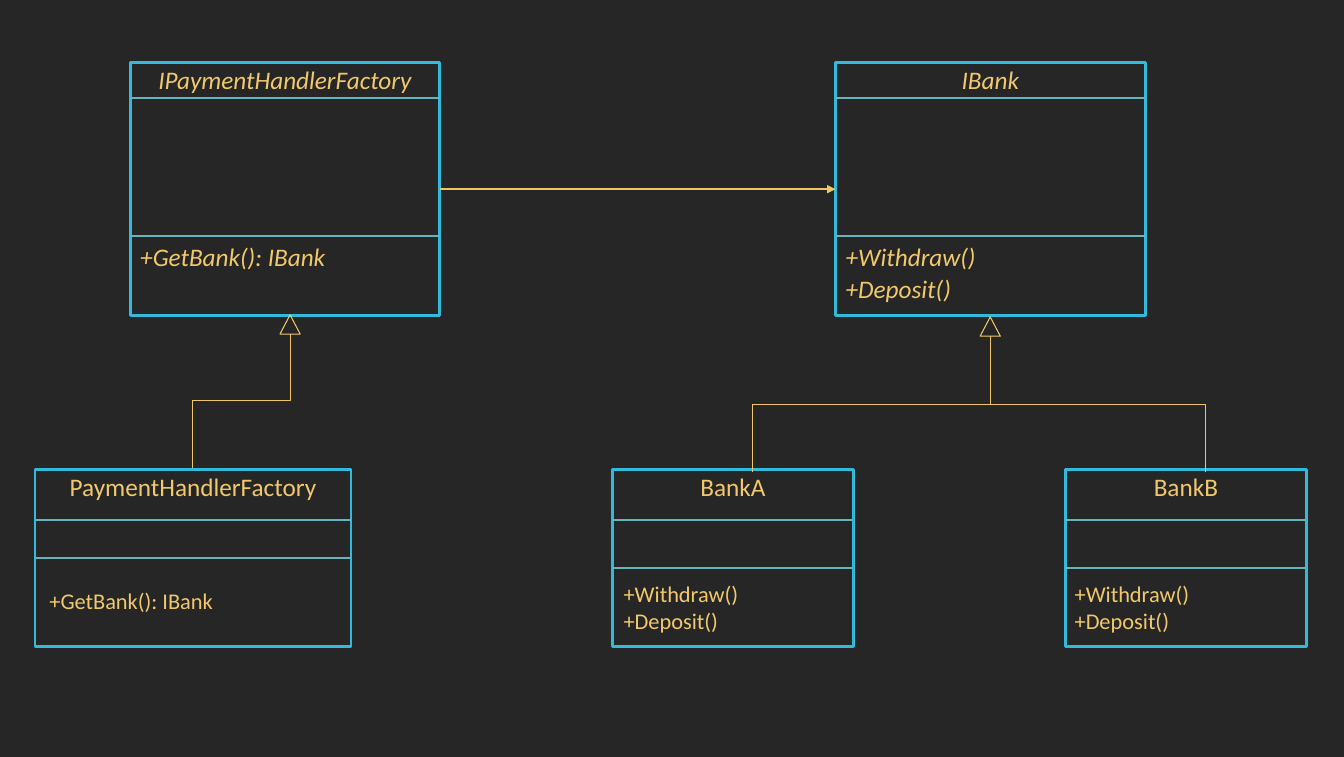
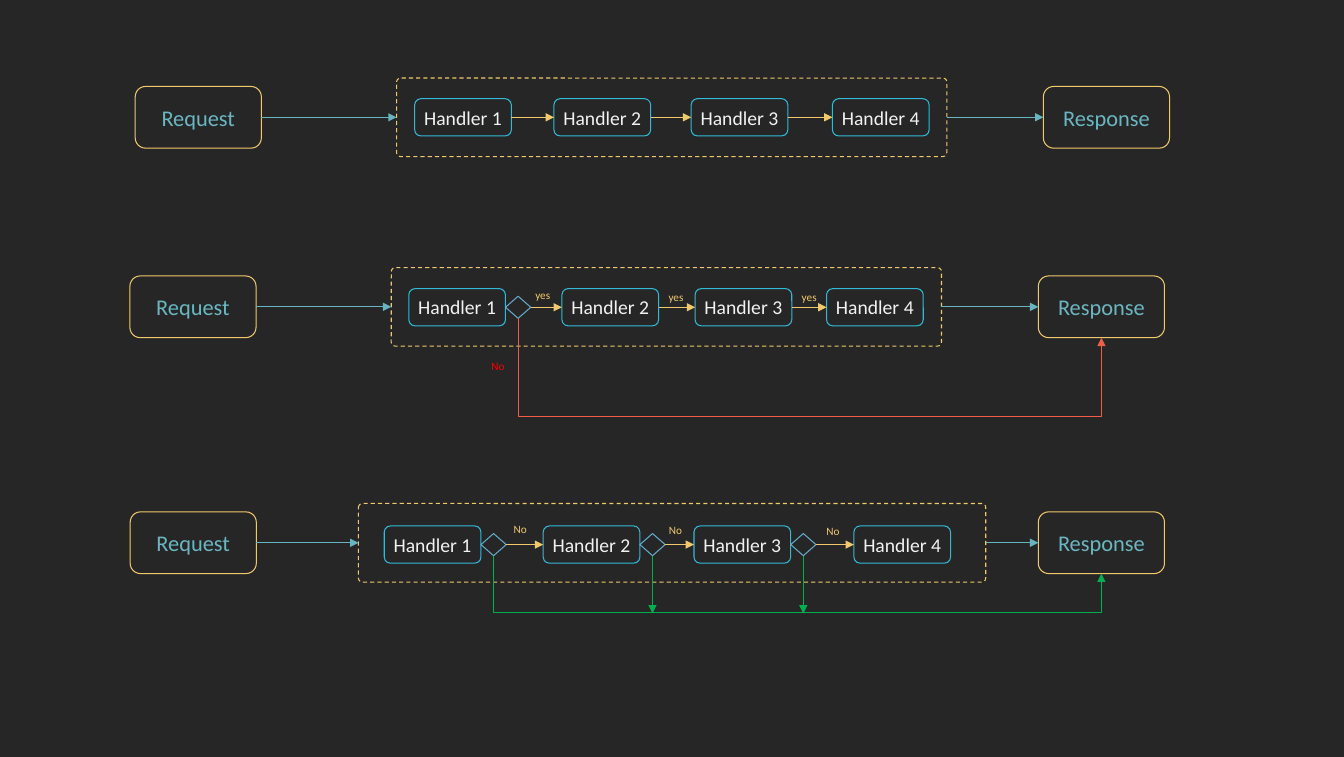
from dataclasses import dataclass

from lxml.etree import SubElement
from pptx import Presentation
from pptx.dml.color import RGBColor
from pptx.enum.dml import MSO_LINE
from pptx.enum.shapes import MSO_CONNECTOR as CXN, MSO_SHAPE as SHAPE
from pptx.enum.text import MSO_ANCHOR as ANCHOR, PP_ALIGN as ALIGN
from pptx.oxml.ns import qn
from pptx.util import Pt

COLORS = {
    "bg": "262626", "gold": "F1C96C", "link": "EFC666", "cyan": "31BAD9",
    "divider": "65B4C0", "teal": "66B5C0", "end_text": "6AB7C2",
    "white": "F2F2F2", "decision": "64ABCD", "green": "00B050",
    "coral": "F35C48", "red": "FF0000",
}
FONT = "Calibri"
INSET = 3.6
TOP, LEFT, BOTTOM, RIGHT = range(4)
TRIANGLE_W, TRIANGLE_H = 14.4, 13.7
END_W, END_H = 90, 44
FRAME_H = 56
HANDLER_W, HANDLER_H = 69, 26.6
DIAMOND_W, DIAMOND_H = 18, 15.8


@dataclass
class UmlClass:
    name: str
    x: float
    y: float
    w: float
    h: float
    dividers: tuple[float, float]
    members: list[str]
    member_at: tuple[float, float]
    size: float = 16
    italic: bool = False


@dataclass
class Inheritance:
    triangle: tuple[float, float]
    feet: list[tuple[float, float]]


@dataclass
class Label:
    text: str
    x: float
    y: float
    w: float = 25.2
    color: str = "gold"


@dataclass
class Chain:
    request_x: float
    response_x: float
    mid: float
    handler_mid: float
    frame_x: float
    frame_w: float
    handlers: list[float]
    labels: list[Label]
    decisions: int = 0
    exit_y: float = 0
    exit_color: str = "green"


# Shared drawing helpers
def rgb(name: str) -> RGBColor:
    return RGBColor.from_string(COLORS[name])


def style_line(line, color: str, width: float, arrow: bool = False) -> None:
    line.color.rgb = rgb(color)
    line.width = Pt(width)
    if arrow:
        SubElement(line._get_or_add_ln(), qn("a:tailEnd"), type="triangle")


def add_outline(slide, kind, x: float, y: float, w: float, h: float,
                color: str, width: float = 0.75):
    sp = slide.shapes.add_shape(kind, Pt(x), Pt(y), Pt(w), Pt(h))
    sp.shadow.inherit = False
    sp.fill.background()
    style_line(sp.line, color, width)
    return sp


def write(sp, lines: list[str], size: float, color: str, align=ALIGN.CENTER,
          anchor=ANCHOR.TOP, italic: bool = False, side: float = INSET,
          gap: float = 0) -> None:
    tf = sp.text_frame
    tf.word_wrap = True
    tf.vertical_anchor = anchor
    tf.margin_left = tf.margin_right = Pt(side)
    tf.margin_top = tf.margin_bottom = Pt(INSET)
    for i, text in enumerate(lines):
        p = tf.add_paragraph() if i else tf.paragraphs[0]
        p.alignment = align
        if i and gap:
            p.space_before = Pt(gap)
        r = p.add_run()
        r.text = text
        r.font.name, r.font.size = FONT, Pt(size)
        r.font.italic = italic
        r.font.color.rgb = rgb(color)


def add_text(slide, x: float, y: float, w: float, h: float,
             lines: list[str], size: float, color: str, **options) -> None:
    box = slide.shapes.add_textbox(Pt(x), Pt(y), Pt(w), Pt(h))
    write(box, lines, size, color, **options)


def add_line(slide, start: tuple[float, float], end: tuple[float, float],
             color: str, width: float, arrow: bool = False,
             kind=CXN.STRAIGHT):
    cxn = slide.shapes.add_connector(kind, *(Pt(v) for v in (*start, *end)))
    style_line(cxn.line, color, width, arrow)
    SubElement(cxn._element.spPr, qn("a:effectLst"))
    return cxn


def join(slide, a, b, color: str, width: float = 0.75) -> None:
    """Arrow from the right side of a to the left side of b."""
    cxn = add_line(slide, (0, 0), (0, 0), color, width, arrow=True)
    cxn.begin_connect(a, RIGHT)
    cxn.end_connect(b, LEFT)


def join_below(slide, a, b, low: float, color: str) -> None:
    """U-shaped arrow from the bottom of a, down to low, up to the bottom of b."""
    cxn = add_line(slide, (0, 0), (0, 0), color, 0.75, arrow=True, kind=CXN.ELBOW)
    cxn.begin_connect(a, BOTTOM)
    cxn.end_connect(b, BOTTOM)
    x1, y1, x2, y2 = cxn.begin_x, cxn.begin_y, cxn.end_x, cxn.end_y
    dx, dy = x2 - x1, y2 - y1
    # The elbow leaves sideways by default, so it is turned a quarter
    cxn.left, cxn.top = (x1 + x2 - dy) // 2, (y1 + y2 - dx) // 2
    cxn.width, cxn.height = dy, dx
    spPr = cxn._element.spPr
    xfrm = spPr.find(qn("a:xfrm"))
    xfrm.set("rot", "16200000")
    xfrm.set("flipH", "1")
    geom = spPr.find(qn("a:prstGeom"))
    guides = geom.find(qn("a:avLst"))
    if guides is None:
        guides = SubElement(geom, qn("a:avLst"))
    bend = round((Pt(low) - y1) / dy * 100000)
    SubElement(guides, qn("a:gd"), name="adj1", fmla=f"val {bend}")


# Class diagram
def draw_class(slide, c: UmlClass):
    box = add_outline(slide, SHAPE.RECTANGLE, c.x, c.y, c.w, c.h, "cyan", 2)
    for y in c.dividers:
        add_line(slide, (c.x, y), (c.x + c.w, y), "divider", 1.5)
    inner = c.w - 2 * INSET
    add_text(slide, c.x + INSET, c.y - 2, inner, 26, [c.name], 18, "gold",
             italic=c.italic)
    x, y = c.member_at
    add_text(slide, x, y, c.x + c.w - x - INSET, 26 * len(c.members),
             c.members, c.size, "gold", align=ALIGN.LEFT, italic=c.italic,
             gap=1 if c.italic else 0)
    return box


def draw_inheritance(slide, link: Inheritance) -> None:
    x, y = link.triangle
    add_outline(slide, SHAPE.ISOSCELES_TRIANGLE, x, y, TRIANGLE_W, TRIANGLE_H,
                "gold")
    top_x, top_y = x + TRIANGLE_W / 2, y + TRIANGLE_H
    for foot_x, foot_y in link.feet:
        bend = (top_y + foot_y) / 2
        points = [(foot_x, bend), (top_x, bend), (top_x, top_y)]
        fb = slide.shapes.build_freeform(Pt(foot_x), Pt(foot_y))
        fb.add_line_segments([(Pt(a), Pt(b)) for a, b in points], close=False)
        sp = fb.convert_to_shape()
        sp.shadow.inherit = False
        sp.fill.background()
        style_line(sp.line, "link", 0.75)


def interface(name: str, x: float, members: list[str]) -> UmlClass:
    return UmlClass(name, x, 44.6, 221, 180.7, (69.8, 168.5), members,
                    (x + INSET, 168.5), 18, True)


def concrete(name: str, x: float, w: float, divider: float,
             members: list[str], member_at: tuple[float, float]) -> UmlClass:
    return UmlClass(name, x, 334.8, w, 126.7, (370.8, divider), members,
                    member_at)


BANK_MEMBERS = ["+Withdraw()", "+Deposit()"]
FACTORY_MEMBERS = ["+GetBank(): IBank"]
FACTORY_INTERFACE = interface("IPaymentHandlerFactory", 92.9, FACTORY_MEMBERS)
BANK_INTERFACE = interface("IBank", 596.2, BANK_MEMBERS)
CONCRETE = [
    concrete("PaymentHandlerFactory", 25, 225.5, 398.2, FACTORY_MEMBERS, (31.7, 415.4)),
    concrete("BankA", 437, 172, 405.4, BANK_MEMBERS, (441.4, 410)),
    concrete("BankB", 760.2, 172, 405.4, BANK_MEMBERS, (763.2, 410)),
]
INHERITANCES = [
    Inheritance((199.8, 224.6), [(137.5, 333.6)]),
    Inheritance((699.4, 226.1), [(536.6, 337), (860.4, 337)]),
]


def draw_class_slide(slide) -> None:
    factory = draw_class(slide, FACTORY_INTERFACE)
    bank = draw_class(slide, BANK_INTERFACE)
    for c in CONCRETE:
        draw_class(slide, c)
    join(slide, factory, bank, "link", 1.5)
    for link in INHERITANCES:
        draw_inheritance(slide, link)


# Handler chains
CHAINS = [
    Chain(96.5, 744.5, 83.7, 83.7, 283, 392.6, [295.9, 395.3, 493.2, 594], []),
    Chain(92.7, 740.9, 218.9, 219.2, 279.2, 392.6, [291.7, 401, 496, 589.8],
          [Label("yes", 372.2, 202.3, 30.2), Label("yes", 467.3, 203.8, 30.2),
           Label("yes", 562.3, 203.8, 30.2),
           Label("No", 342.7, 252.7, color="red")],
          1, 297.4, "coral"),
    Chain(92.9, 740.9, 387.2, 388.5, 255.8, 447.6, [274.2, 387.6, 495.2, 609.3],
          [Label("No", 358.6, 369.4), Label("No", 469.4, 370.1),
           Label("No", 581.8, 370.8)],
          3, 437),
]


def draw_end(slide, text: str, x: float, mid: float):
    sp = add_outline(slide, SHAPE.ROUNDED_RECTANGLE, x, mid - END_H / 2,
                     END_W, END_H, "gold")
    write(sp, [text], 16, "end_text", anchor=ANCHOR.MIDDLE)
    return sp


def draw_chain(slide, c: Chain) -> None:
    request = draw_end(slide, "Request", c.request_x, c.mid)
    response = draw_end(slide, "Response", c.response_x, c.mid)
    frame = add_outline(slide, SHAPE.ROUNDED_RECTANGLE, c.frame_x,
                        c.mid - FRAME_H / 2, c.frame_w, FRAME_H, "gold")
    frame.adjustments[0] = 0.05
    frame.line.dash_style = MSO_LINE.DASH
    join(slide, request, frame, "teal")
    join(slide, frame, response, "teal")

    previous = None
    decisions = []
    for i, x in enumerate(c.handlers):
        handler = add_outline(slide, SHAPE.ROUNDED_RECTANGLE, x,
                              c.handler_mid - HANDLER_H / 2, HANDLER_W,
                              HANDLER_H, "cyan")
        write(handler, [f"Handler {i + 1}"], 14, "white")
        if previous is not None:
            join(slide, previous, handler, "gold")
        previous = handler
        if i < c.decisions:
            previous = add_outline(slide, SHAPE.FLOWCHART_DECISION, x + HANDLER_W,
                                   c.handler_mid - DIAMOND_H / 2, DIAMOND_W,
                                   DIAMOND_H, "decision")
            decisions.append(previous)

    # Early exits: the first reaches the response, the others meet its line
    for i, diamond in enumerate(decisions):
        if i == 0:
            join_below(slide, diamond, response, c.exit_y, c.exit_color)
        else:
            x = c.handlers[i] + HANDLER_W + DIAMOND_W / 2
            drop = add_line(slide, (x, c.handler_mid), (x, c.exit_y + 0.6),
                            c.exit_color, 0.75, arrow=True)
            drop.begin_connect(diamond, BOTTOM)
    for label in c.labels:
        add_text(slide, label.x, label.y, label.w, 17, [label.text], 8,
                 label.color, side=2)


def main() -> None:
    prs = Presentation()
    prs.slide_width, prs.slide_height = Pt(959), Pt(540)
    bg = prs.slide_master.background.fill
    bg.solid()
    bg.fore_color.rgb = rgb("bg")
    blank = prs.slide_layouts[6]
    draw_class_slide(prs.slides.add_slide(blank))
    chain_slide = prs.slides.add_slide(blank)
    for chain in CHAINS:
        draw_chain(chain_slide, chain)
    prs.save("out.pptx")


if __name__ == "__main__":
    main()
